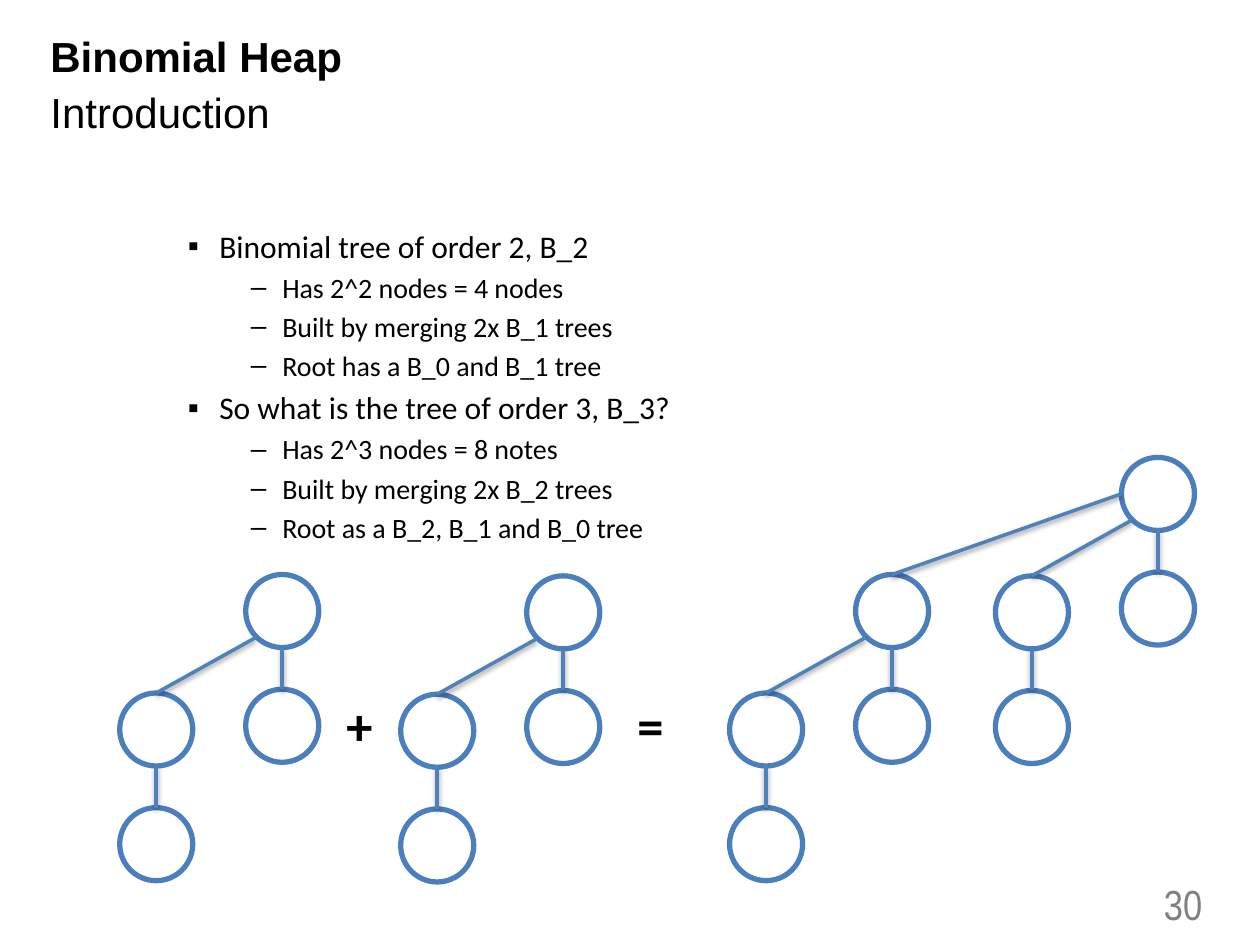
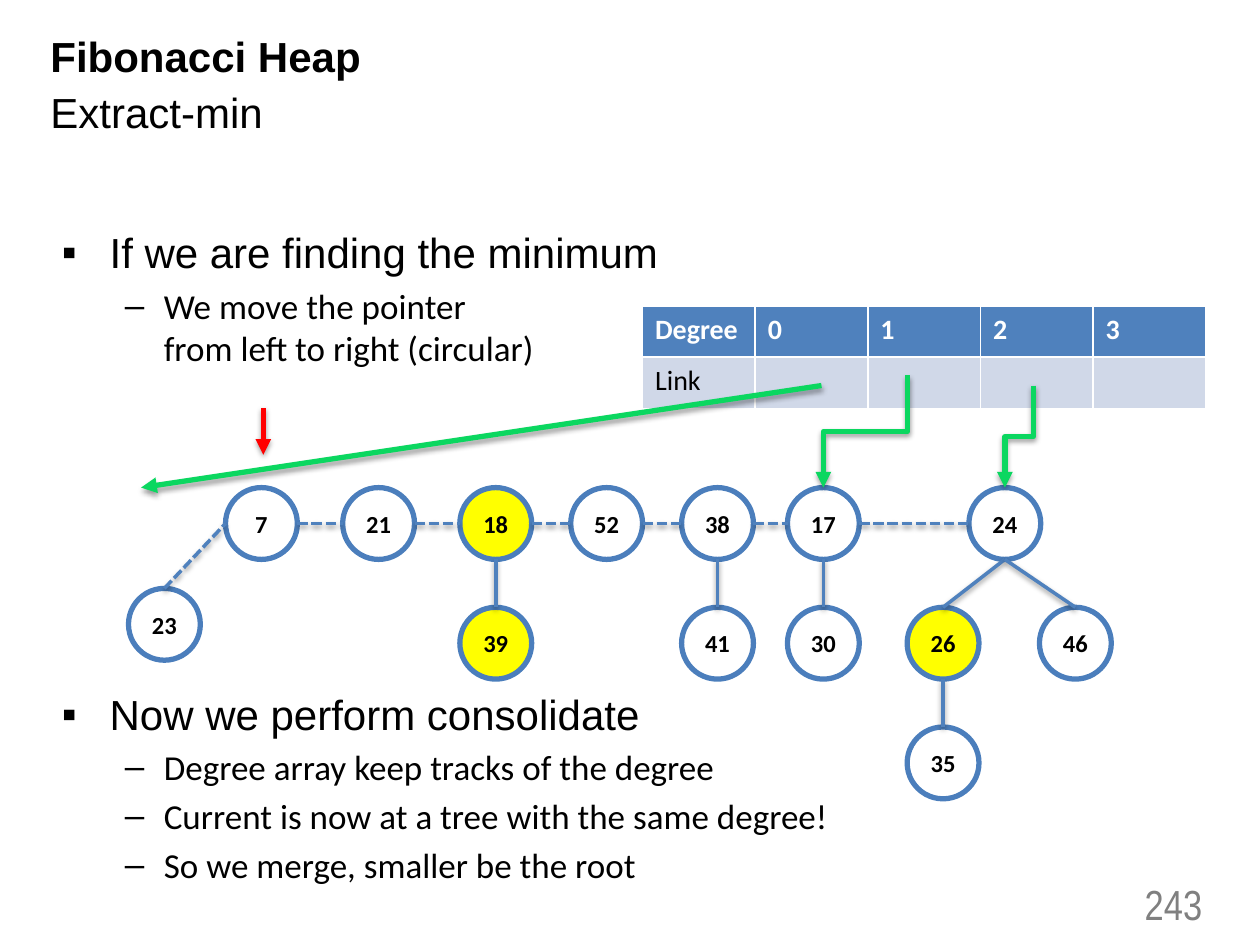
from lxml import etree
from pptx import Presentation
from pptx.dml.color import RGBColor
from pptx.enum.dml import MSO_LINE
from pptx.enum.shapes import MSO_CONNECTOR, MSO_SHAPE
from pptx.enum.text import MSO_ANCHOR, MSO_AUTO_SIZE, PP_ALIGN
from pptx.oxml.ns import qn
from pptx.util import Inches, Pt

OVAL = MSO_SHAPE.OVAL
STRAIGHT, ELBOW = MSO_CONNECTOR.STRAIGHT, MSO_CONNECTOR.ELBOW
DASH = MSO_LINE.SQUARE_DOT
TOP, MIDDLE = MSO_ANCHOR.TOP, MSO_ANCHOR.MIDDLE
LEFT, CENTER, RIGHT = PP_ALIGN.LEFT, PP_ALIGN.CENTER, PP_ALIGN.RIGHT
NO_AUTOFIT = MSO_AUTO_SIZE.NONE

BLACK, WHITE, GRAY = "000000", "FFFFFF", "808080"
NODE_BLUE, LINK_BLUE, BAND_BLUE = "4B7EBC", "4F81BD", "D0D8E8"
YELLOW, RED, GREEN = "FFFF00", "FF0000", "0BD760"

# Outline level: bullet, left margin, hanging indent (inches)
MAIN = ("▪", 0.38, 0.38)
SUB = ("–", 0.81, 0.31)
INNER = ("▪", 1.25, 0.25)
INNER_SUB = ("–", 1.75, 0.25)


def write_text(paragraph, text, size, font="Calibri", color=BLACK, bold=False,
               align=LEFT, before=0, spacing=None, outline=None):
    paragraph.text = text
    if outline:
        bullet, margin, hanging = outline
        properties = paragraph._p.get_or_add_pPr()
        properties.set("marL", str(Inches(margin)))
        properties.set("indent", str(-Inches(hanging)))
        etree.SubElement(properties, qn("a:buChar"), char=bullet)
    paragraph.alignment = align
    paragraph.space_before = Pt(before)
    if spacing:
        paragraph.line_spacing = spacing
    for run in paragraph.runs:
        run.font.name = font
        run.font.size = Pt(size)
        run.font.bold = bold
        run.font.color.rgb = RGBColor.from_string(color)


def draw_line(slide, start, end, color=LINK_BLUE, width=2, dashed=False,
              arrow=False, bent=False):
    """Draw a shadowed line; a bent one leaves its start vertically."""
    (x1, y1), (x2, y2) = start, end
    if bent:
        # Lay the elbow out horizontally around its centre, then turn it by 90°
        center_x, center_y = (x1 + x2) / 2, (y1 + y2) / 2
        half_width, half_height = (y2 - y1) / 2, (x1 - x2) / 2
        x1, x2 = center_x - half_width, center_x + half_width
        y1, y2 = center_y - half_height, center_y + half_height
    line = slide.shapes.add_connector(ELBOW if bent else STRAIGHT, Inches(x1),
                                      Inches(y1), Inches(x2), Inches(y2))
    properties = line._element.spPr
    if bent:
        properties.find(qn("a:xfrm")).set("rot", "5400000")
    line.line.color.rgb = RGBColor.from_string(color)
    line.line.width = Pt(width)
    if dashed:
        line.line.dash_style = DASH
    if arrow:
        etree.SubElement(properties.find(qn("a:ln")), qn("a:tailEnd"), type="triangle")
    effects = etree.SubElement(properties, qn("a:effectLst"))
    shadow = etree.SubElement(effects, qn("a:outerShdw"), blurRad=str(Pt(3.1)),
                              dist=str(Pt(1.6)), dir="5400000", rotWithShape="0")
    shadow_color = etree.SubElement(shadow, qn("a:srgbClr"), val=BLACK)
    etree.SubElement(shadow_color, qn("a:alpha"), val="38000")


presentation = Presentation()
presentation.slide_width = Inches(10)
presentation.slide_height = Inches(7.5)

# Titles, lists and page numbers
# List item: outline level, text, size, font, space before
pages = [
    ("30", "Binomial Heap", "Introduction", 9, [
        (INNER, "Binomial tree of order 2, B_2", 18, "Calibri", 0),
        (INNER_SUB, "Has 2^2 nodes = 4 nodes", 16, "Calibri", 3.2),
        (INNER_SUB, "Built by merging 2x B_1 trees", 16, "Calibri", 3.2),
        (INNER_SUB, "Root has a B_0 and B_1 tree", 16, "Calibri", 3.2),
        (INNER, "So what is the tree of order 3, B_3?", 18, "Calibri", 3.6),
        (INNER_SUB, "Has 2^3 nodes = 8 notes", 16, "Calibri", 3.2),
        (INNER_SUB, "Built by merging 2x B_2 trees", 16, "Calibri", 3.2),
        (INNER_SUB, "Root as a B_2, B_1 and B_0 tree", 16, "Calibri", 3.2),
    ]),
    ("243", "Fibonacci Heap", "Extract-min", 9.45, [
        (MAIN, "If we are finding the minimum", 24, "Arial", 0),
        (SUB, "We move the pointer\vfrom left to right (circular)", 20, "Calibri", 4),
        (MAIN, "Now we perform consolidate", 24, "Arial", 183),
        (SUB, "Degree array keep tracks of the degree", 20, "Calibri", 4),
        (SUB, "Current is now at a tree with the same degree!", 20, "Calibri", 4),
        (SUB, "So we merge, smaller be the root", 20, "Calibri", 4),
    ]),
]
for number, heading, subheading, body_width, items in pages:
    slide = presentation.slides.add_slide(presentation.slide_layouts[1])
    title, body = slide.shapes.title, slide.placeholders[1]
    number_box = slide.shapes.add_textbox(0, 0, 0, 0)
    for shape, bounds, anchor in (
        (title, (0.3, 0.24, 5.71, 0.85), TOP),
        (body, (0.39, 1.75, body_width, 4.95), TOP),
        (number_box, (8.31, 6.97, 1.33, 0.4), MIDDLE),
    ):
        shape.left, shape.top, shape.width, shape.height = map(Inches, bounds)
        shape.text_frame.auto_size = NO_AUTOFIT
        shape.text_frame.word_wrap = True
        shape.text_frame.vertical_anchor = anchor

    write_text(title.text_frame.paragraphs[0], heading, 24, font="Arial",
               bold=True, spacing=0.9)
    write_text(title.text_frame.add_paragraph(), subheading, 24, font="Arial",
               before=6, spacing=0.9)
    for index, (outline, text, size, font, before) in enumerate(items):
        frame = body.text_frame
        paragraph = frame.add_paragraph() if index else frame.paragraphs[0]
        paragraph.level = (MAIN, SUB, INNER, INNER_SUB).index(outline)
        write_text(paragraph, text, size, font=font, before=before, outline=outline)
    write_text(number_box.text_frame.paragraphs[0], number, 24,
               font="Arial Narrow", color=GRAY, align=RIGHT)

binomial_slide, fibonacci_slide = presentation.slides

# Binomial trees: every group of four nodes is one B_2 tree
tree_node, level_step, sibling_x, sibling_y = 0.58, 0.91, 1.0, 0.94
tree_roots = [(1.95, 4.56), (4.18, 4.57), (6.79, 4.56), (8.9, 3.63)]
nodes = []
for x, y in tree_roots:
    for pair_x, pair_y in ((x, y), (x - sibling_x, y + sibling_y)):
        nodes.append((binomial_slide, pair_x, pair_y, tree_node, "", None))
        nodes.append((binomial_slide, pair_x, pair_y + level_step, tree_node, "", None))

# Fibonacci heap: the root list, then the children below
heap_node, root_y, heap_step = 0.57, 3.87, 0.95
heap_roots = {"7": 1.79, "21": 2.72, "18": 3.65, "52": 4.53, "38": 5.41,
              "17": 6.25, "24": 7.69}
heap = {value: (x, root_y) for value, x in heap_roots.items()}
heap["23"] = (1.02, 4.67)
children = [("39", "18", 3.65), ("41", "38", 5.41), ("30", "17", 6.25),
            ("26", "24", 7.2), ("46", "24", 8.25), ("35", "26", 7.2)]
for child, parent, x in children:
    heap[child] = (x, heap[parent][1] + heap_step)
marked = ("18", "39", "26")
for value, (x, y) in heap.items():
    fill = YELLOW if value in marked else None
    nodes.append((fibonacci_slide, x, y, heap_node, value, fill))

for slide, x, y, size, label, fill in nodes:
    circle = slide.shapes.add_shape(OVAL, Inches(x), Inches(y), Inches(size), Inches(size))
    circle.shadow.inherit = False
    circle.line.color.rgb = RGBColor.from_string(NODE_BLUE)
    circle.line.width = Pt(3)
    if fill:
        circle.fill.solid()
        circle.fill.fore_color.rgb = RGBColor.from_string(fill)
    else:
        circle.fill.background()
    if label:
        frame = circle.text_frame
        frame.margin_left = frame.margin_right = 0
        frame.vertical_anchor = MIDDLE
        write_text(frame.paragraphs[0], label, 14, bold=True, align=CENTER)

# Links and signs of the binomial trees
radius = tree_node / 2
for x, y in tree_roots:
    left_x, left_y = x - sibling_x, y + sibling_y
    for pair_x, pair_y in ((x, y), (left_x, left_y)):
        draw_line(binomial_slide, (pair_x + radius, pair_y + tree_node),
                  (pair_x + radius, pair_y + level_step))
    draw_line(binomial_slide, (x + 0.08, y + 0.5), (left_x + radius, left_y))
merged_x, merged_y = tree_roots[2]
root_x, top_y = tree_roots[3]
draw_line(binomial_slide, (root_x, top_y + radius), (merged_x + radius, merged_y))

for sign, x in (("+", 2.65), ("=", 4.96)):
    sign_box = binomial_slide.shapes.add_textbox(Inches(x), Inches(5.45),
                                                 Inches(0.41), Inches(0.61))
    write_text(sign_box.text_frame.paragraphs[0], sign, 30, bold=True)

# Links of the Fibonacci heap
radius = heap_node / 2
for child, parent, x in children:
    parent_x, parent_y = heap[parent]
    draw_line(fibonacci_slide, (x + radius, heap[child][1]),
              (parent_x + radius, parent_y + heap_node))
root_xs = list(heap_roots.values())
for x, next_x in zip(root_xs, root_xs[1:]):
    draw_line(fibonacci_slide, (x + heap_node, root_y + radius),
              (next_x, root_y + radius), dashed=True)
last_x, last_y = heap["23"]
draw_line(fibonacci_slide, (last_x + radius, last_y),
          (root_xs[0], root_y + radius), dashed=True)

# Degree table
rows = [["Degree", "0", "1", "2", "3"], ["Link", "", "", "", ""]]
table = fibonacci_slide.shapes.add_table(2, 5, Inches(5.1), Inches(2.43),
                                         Inches(4.47), Inches(0.81)).table
for row_index, row in enumerate(rows):
    is_header = row_index == 0
    for column_index, text in enumerate(row):
        cell = table.cell(row_index, column_index)
        cell.fill.solid()
        cell.fill.fore_color.rgb = RGBColor.from_string(LINK_BLUE if is_header else BAND_BLUE)
        write_text(cell.text_frame.paragraphs[0], text, 16, bold=is_header,
                   color=WHITE if is_header else BLACK)

# Current pointer and degree links
draw_line(fibonacci_slide, (2.09, 3.24), (2.09, 3.61), color=RED, width=3, arrow=True)
for start, end_x, bent in (((7.2, 2.98), heap["17"][0] + radius, True),
                           ((8.2, 3.06), heap["24"][0] + radius, True),
                           ((6.52, 3.06), 1.12, False)):
    draw_line(fibonacci_slide, start, (end_x, root_y), color=GREEN, width=3,
              arrow=True, bent=bent)

presentation.save("out.pptx")
